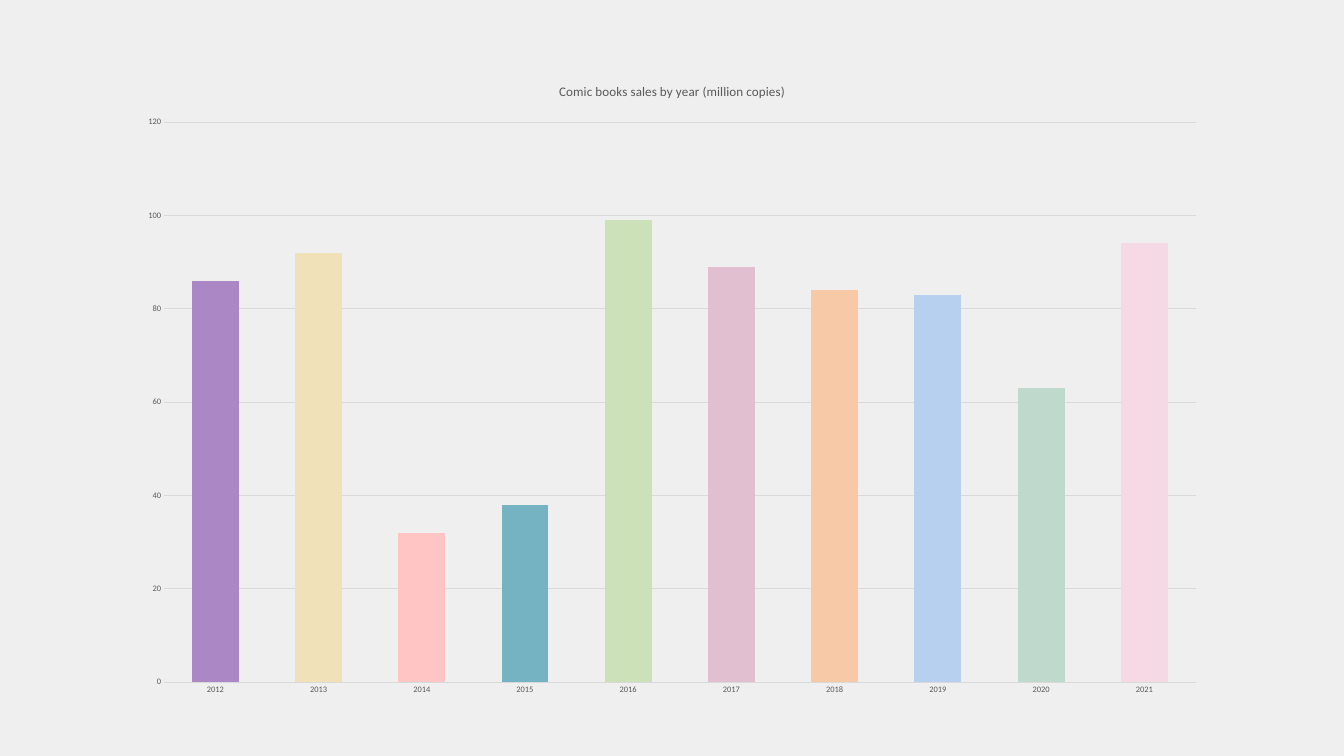
from typing import NamedTuple

from pptx import Presentation
from pptx.chart.data import CategoryChartData as ChartData
from pptx.dml.color import RGBColor
from pptx.enum.chart import XL_CHART_TYPE as Kind, XL_TICK_MARK as Tick
from pptx.util import Cm, Pt

FONT = "Calibri"
GREY = "595959"
TITLE = "Comic books sales by year (million copies)"


class Bar(NamedTuple):
    year: str
    sales: int
    color: str


BARS = [
    Bar("2012", 86, "AC87C5"),
    Bar("2013", 92, "F0E1B8"),
    Bar("2014", 32, "FFC4C4"),
    Bar("2015", 38, "75B3C2"),
    Bar("2016", 99, "CCE1B8"),
    Bar("2017", 89, "E1BFD1"),
    Bar("2018", 84, "F8C9A6"),
    Bar("2019", 83, "B8D0F0"),
    Bar("2020", 63, "BFD9CC"),
    Bar("2021", 94, "F5D9E4"),
]


def paint(fill, color: str) -> None:
    fill.solid()
    fill.fore_color.rgb = RGBColor.from_string(color)


def style(font, size: float, color: str = GREY) -> None:
    font.name = FONT
    font.size = Pt(size)
    font.bold = False
    font.color.rgb = RGBColor.from_string(color)


def add_title(chart) -> None:
    chart.has_title = True
    run = chart.chart_title.text_frame.paragraphs[0].add_run()
    run.text = TITLE
    style(run.font, 14)
    chart.chart_title.include_in_layout = False


def set_axes(chart) -> None:
    for axis in (chart.category_axis, chart.value_axis):
        axis.major_tick_mark = axis.minor_tick_mark = Tick.NONE
        axis.format.line.fill.background()
        style(axis.tick_labels.font, 9)
    scale = chart.value_axis
    scale.minimum_scale, scale.maximum_scale, scale.major_unit = 0, 120, 20
    scale.has_major_gridlines = True
    grid = scale.major_gridlines.format.line
    grid.width = Pt(0.75)
    paint(grid.fill, "D9D9D9")


def add_bars(slide, bars: list[Bar]) -> None:
    data = ChartData()
    data.categories = [bar.year for bar in bars]
    data.add_series(TITLE, [bar.sales for bar in bars])
    chart = slide.shapes.add_chart(
        Kind.COLUMN_CLUSTERED, Cm(4.78), Cm(2.41), Cm(41.25), Cm(24.33), data
    ).chart
    style(chart.font, 10, "000000")
    chart.has_legend = False
    add_title(chart)
    set_axes(chart)

    # One colour for each year
    plot = chart.plots[0]
    plot.gap_width = 120
    plot.vary_by_categories = False
    series = plot.series[0]
    paint(series.format.fill, "4F81BD")
    for i, bar in enumerate(bars):
        paint(series.points[i].format.fill, bar.color)


def main() -> None:
    deck = Presentation()
    deck.slide_width, deck.slide_height = Cm(50.8), Cm(28.58)
    slide = deck.slides.add_slide(deck.slide_layouts[6])
    paint(slide.background.fill, "EFEFEF")
    add_bars(slide, BARS)
    deck.save("out.pptx")


if __name__ == "__main__":
    main()
